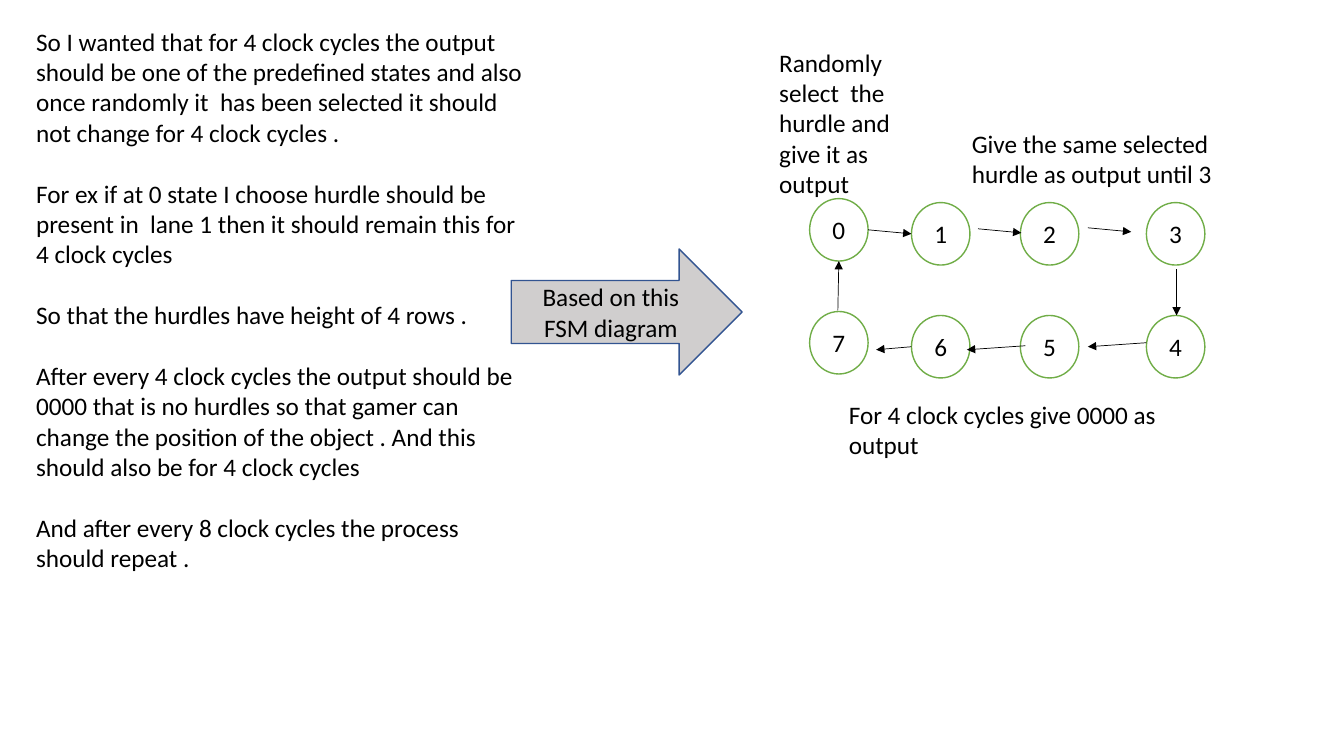
from lxml.etree import SubElement
from pptx import Presentation
from pptx.dml.color import RGBColor
from pptx.enum.shapes import MSO_CONNECTOR, MSO_SHAPE
from pptx.enum.text import MSO_ANCHOR, MSO_AUTO_SIZE, PP_ALIGN
from pptx.oxml.ns import qn
from pptx.util import Pt

PX = 9144  # 100 px to the inch
COLORS = {"ink": "000000", "paper": "FFFFFF", "green": "70AD47",
          "gray": "D0CECE", "navy": "325491"}

STORY = [
    "So I wanted that for 4 clock cycles the output should be one of the "
    "predefined states and also once randomly it  has been selected it "
    "should not change for 4 clock cycles .",
    "For ex if at 0 state I choose hurdle should be present in  lane 1 then "
    "it should remain this for 4 clock cycles",
    "So that the hurdles have height of 4 rows .",
    "After every 4 clock cycles the output should be 0000 that is no hurdles "
    "so that gamer can change the position of the object . And this should "
    "also be for 4 clock cycles",
    "And after every 8 clock cycles the process should repeat .",
]
NOTES = [
    ((763, 42, 162, 162), "Randomly select  the hurdle and give it as output"),
    ((954, 122, 309, 71), "Give the same selected hurdle as output until 3"),
    ((832, 391, 363, 101), "For 4 clock cycles give 0000 as output"),
]
LEFTS = [803, 904, 1012, 1137]
ROWS = [(201, "0123"), (313, "7654")]
STEPS = [
    (861, 228, 904, 232), (970, 227, 1013, 231), (1079, 226, 1122, 230),
    (1167, 267, 1167, 313), (1137, 340, 1079, 344), (1017, 343, 959, 347),
    (904, 344, 869, 347), (831, 308, 832, 259),
]


def color(name):
    return RGBColor.from_string(COLORS[name])


def scale(box):
    return [n * PX for n in box]


class Board:
    font = "Calibri"
    size = Pt(18)
    gap = Pt(22)

    def __init__(self, slide):
        self.shapes = slide.shapes

    def letter(self, frame, lines, align):
        """Put the lines into the frame in the slide's text style."""
        frame.word_wrap = True
        for i, line in enumerate(lines):
            para = frame.add_paragraph() if i else frame.paragraphs[0]
            para.text = line
            para.alignment = align
            para.space_before = self.gap if i else Pt(0)
            para.font.name = self.font
            para.font.size = self.size
            para.font.color.rgb = color("ink")

    def text(self, box, *lines):
        frame = self.shapes.add_textbox(*scale(box)).text_frame
        self.letter(frame, lines, PP_ALIGN.LEFT)
        frame.auto_size = MSO_AUTO_SIZE.SHAPE_TO_FIT_TEXT

    def shape(self, kind, box, label, fill, line):
        shape = self.shapes.add_shape(kind, *scale(box))
        shape.shadow.inherit = False
        shape.fill.solid()
        shape.fill.fore_color.rgb = color(fill)
        shape.line.color.rgb = color(line)
        shape.line.width = Pt(1)
        shape.text_frame.vertical_anchor = MSO_ANCHOR.MIDDLE
        self.letter(shape.text_frame, [label], PP_ALIGN.CENTER)

    def arrow(self, ends):
        link = self.shapes.add_connector(MSO_CONNECTOR.STRAIGHT, *scale(ends))
        link.line.color.rgb = color("ink")
        link.line.width = Pt(0.5)
        props = link._element.spPr
        SubElement(props.find(qn("a:ln")), qn("a:tailEnd"), type="triangle")
        SubElement(props, qn("a:effectLst"))


def main():
    deck = Presentation()
    deck.slide_width, deck.slide_height = scale((1333, 750))
    board = Board(deck.slides.add_slide(deck.slide_layouts[6]))

    board.text((26, 21, 504, 555), *STORY)
    for top, states in ROWS:
        for col, (left, state) in enumerate(zip(LEFTS, states)):
            lift = 0 if col else 4  # the first column sits a little higher
            board.shape(MSO_SHAPE.OVAL, (left, top - lift, 58, 62), state,
                        "paper", "green")
    for ends in STEPS:
        board.arrow(ends)
    for box, note in NOTES:
        board.text(box, note)
    board.shape(MSO_SHAPE.RIGHT_ARROW, (507, 247, 229, 125),
                "Based on this FSM diagram", "gray", "navy")
    deck.save("out.pptx")


if __name__ == "__main__":
    main()
